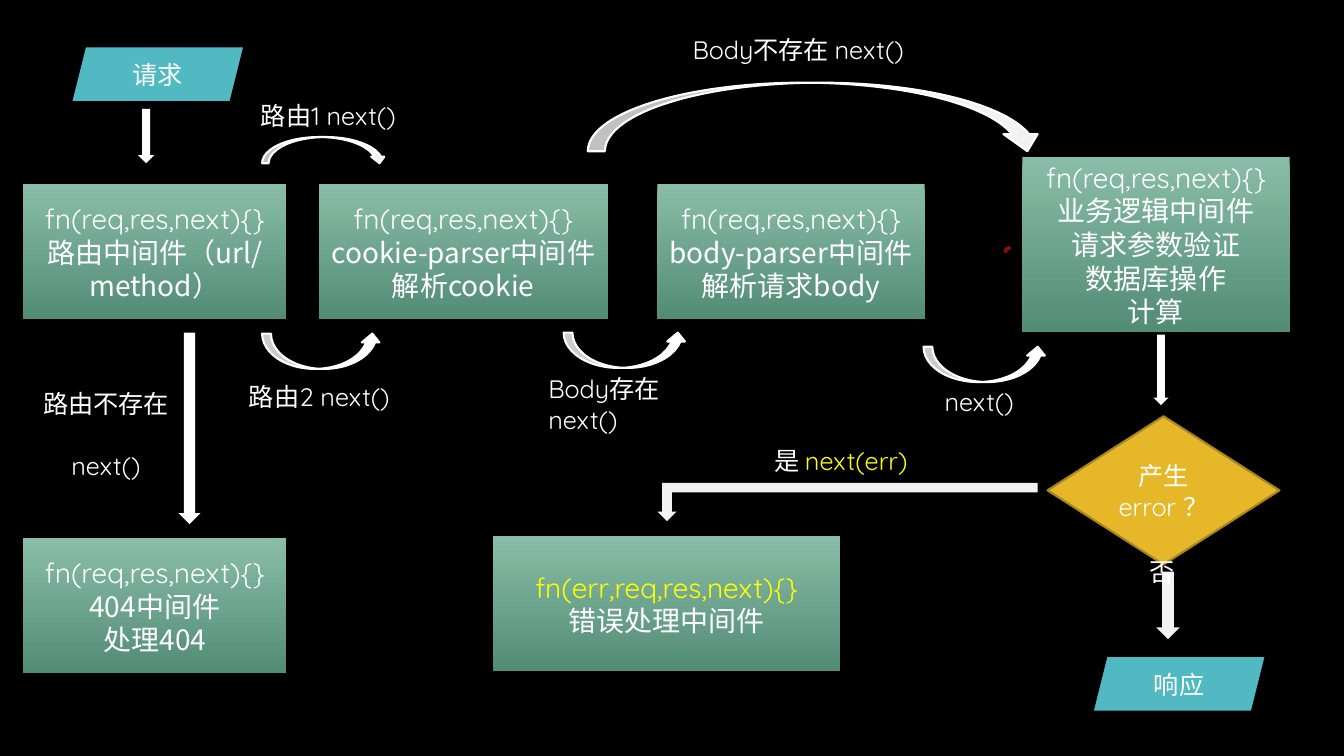
from pptx import Presentation
from pptx.dml.color import RGBColor
from pptx.enum.shapes import MSO_SHAPE
from pptx.enum.text import MSO_ANCHOR, PP_ALIGN
from pptx.oxml.ns import qn
from pptx.util import Inches, Pt
from lxml import etree

DOWN, CURVED_DOWN, CURVED_UP = MSO_SHAPE.DOWN_ARROW, MSO_SHAPE.CURVED_DOWN_ARROW, MSO_SHAPE.CURVED_UP_ARROW
BENT, BENT_UP = MSO_SHAPE.BENT_ARROW, MSO_SHAPE.BENT_UP_ARROW
RECTANGLE, DIAMOND, PARALLELOGRAM = MSO_SHAPE.RECTANGLE, MSO_SHAPE.DIAMOND, MSO_SHAPE.PARALLELOGRAM
MIDDLE, TOP = MSO_ANCHOR.MIDDLE, MSO_ANCHOR.TOP
CENTER, LEFT = PP_ALIGN.CENTER, PP_ALIGN.LEFT
LATIN, CHINESE = "Quicksand", "Noto Sans CJK SC"
WHITE, YELLOW, PALE, TEAL = "FFFFFF", "FFFF00", "F2F2F2", "50B9C1"
HANDLER = ("fn(req,res,next){}", LATIN, WHITE)

presentation = Presentation()
presentation.slide_width, presentation.slide_height = Inches(13.33), Inches(7.5)
slide = presentation.slides.add_slide(presentation.slide_layouts[6])
slide.background.fill.solid()
slide.background.fill.fore_color.rgb = RGBColor.from_string("000000")


def add_block(kind, bounds, fill=None, line=None):
    """Add a preset shape without shadow; bounds are in inches."""
    shape = slide.shapes.add_shape(kind, *map(Inches, bounds))
    shape.shadow.inherit = False
    if fill:
        shape.fill.solid()
        shape.fill.fore_color.rgb = RGBColor.from_string(fill)
    if line:
        shape.line.color.rgb = RGBColor.from_string(line)
        shape.line.width = Pt(1.5)
    else:
        shape.line.fill.background()
    return shape


def write_lines(shape, lines, size, spacing, alignment, anchor):
    """Write one paragraph per line; a line is a list of (text, font, colour) runs."""
    frame = shape.text_frame
    frame.word_wrap = True
    frame.vertical_anchor = anchor
    for index, runs in enumerate(lines):
        paragraph = frame.add_paragraph() if index else frame.paragraphs[0]
        paragraph.alignment = alignment
        paragraph.line_spacing = Pt(spacing)
        for text, font_name, colour in runs:
            run = paragraph.add_run()
            run.text = text
            for name, value in {"name": font_name, "size": Pt(size)}.items():
                setattr(run.font, name, value)
            run.font.color.rgb = RGBColor.from_string(colour)
            east_asian = etree.Element(qn("a:ea"), typeface=CHINESE)
            run.font._element.find(qn("a:latin")).addnext(east_asian)


# Middleware boxes: bounds, signature, description lines
middleware = [
    ((0.23, 1.83, 2.61, 1.34), HANDLER, ["路由中间件（url/method）"]),
    ((3.16, 1.83, 2.87, 1.34), HANDLER, ["cookie-parser中间件解析cookie"]),
    ((6.52, 1.83, 2.65, 1.34), HANDLER, ["body-parser中间件", "解析请求body"]),
    ((10.14, 1.56, 2.65, 1.73), HANDLER, ["业务逻辑中间件", "请求参数验证", "数据库操作", "计算"]),
    ((0.23, 5.34, 2.61, 1.34), HANDLER, ["404中间件", "处理404"]),
    ((4.89, 5.32, 3.44, 1.34), ("fn(err,req,res,next){}", LATIN, YELLOW), ["错误处理中间件"]),
]
for bounds, signature, descriptions in middleware:
    box = add_block(RECTANGLE, bounds)
    box.fill.gradient()
    box.fill.gradient_angle = 270
    for stop, position, colour in zip(box.fill.gradient_stops, (0, 1), ("89BDA7", "538C74")):
        stop.position = position
        stop.color.rgb = RGBColor.from_string(colour)
    lines = [[signature]] + [[(text, CHINESE, WHITE)] for text in descriptions]
    write_lines(box, lines, 20, 24, CENTER, MIDDLE)

# Start, decision and end
nodes = [
    (PARALLELOGRAM, (0.72, 0.47, 1.69, 0.53), TEAL, None, "请求"),
    (DIAMOND, (10.39, 4.13, 2.3, 1.47), "E6B729", "AA871E", "产生error ？"),
    (PARALLELOGRAM, (10.85, 6.52, 1.69, 0.53), TEAL, None, "响应"),
]
for kind, bounds, fill, line, text in nodes:
    node = add_block(kind, bounds, fill, line)
    write_lines(node, [[(text, LATIN, WHITE)]], 18, 22, CENTER, MIDDLE)

arrows = [
    (DOWN, (1.37, 1.08, 0.16, 0.54), WHITE, None),
    (DOWN, (1.77, 3.3, 0.22, 1.9), WHITE, None),
    (DOWN, (11.44, 3.32, 0.15, 0.7), WHITE, None),
    (DOWN, (11.47, 5.67, 0.23, 0.67), PALE, None),
    (CURVED_DOWN, (2.6, 1.36, 1.23, 0.26), PALE, WHITE),
    (CURVED_DOWN, (5.83, 0.82, 4.53, 0.68), PALE, WHITE),
    (CURVED_UP, (2.6, 3.31, 1.18, 0.35), WHITE, WHITE),
    (CURVED_UP, (5.59, 3.3, 1.22, 0.35), WHITE, WHITE),
    (CURVED_UP, (9.16, 3.44, 1.22, 0.35), WHITE, WHITE),
    (BENT, (9.97, 2.45, 0.05, 0.05), "B01513", "82100E"),
]
for arrow in arrows:
    add_block(*arrow)
error_arrow = add_block(BENT_UP, (6.52, 4.79, 3.77, 0.38), PALE)
error_arrow.rotation = 180

# Arrow labels: bounds and lines of (text, colour) runs
labels = [
    ((2.49, 0.94, 1.72, 0.4), [[("路由1 next()", WHITE)]]),
    ((0.33, 3.8, 1.67, 0.91), [[("路由不存在", WHITE)], [("next()", WHITE)]]),
    ((6.77, 0.29, 3.28, 0.4), [[("Body不存在 next()", WHITE)]]),
    ((2.37, 3.73, 1.71, 0.4), [[("路由2 next()", WHITE)]]),
    ((5.34, 3.65, 1.8, 0.71), [[("Body存在 next()", WHITE)]]),
    ((9.27, 3.78, 1.2, 0.4), [[("next()", WHITE)]]),
    ((7.58, 4.36, 1.9, 0.4), [[("是 ", WHITE), ("next(err)", YELLOW)]]),
    ((11.3, 5.46, 0.5, 0.4), [[("否", WHITE)]]),
]
for bounds, lines in labels:
    label = slide.shapes.add_textbox(*map(Inches, bounds))
    runs = [[(text, LATIN, colour) for text, colour in line] for line in lines]
    write_lines(label, runs, 18, 22, LEFT, TOP)
    for paragraph in label.text_frame.paragraphs[1:]:
        paragraph.space_before = Pt(22)
        paragraph._p.get_or_add_pPr().set("marL", str(Inches(0.28)))

presentation.save("out.pptx")
